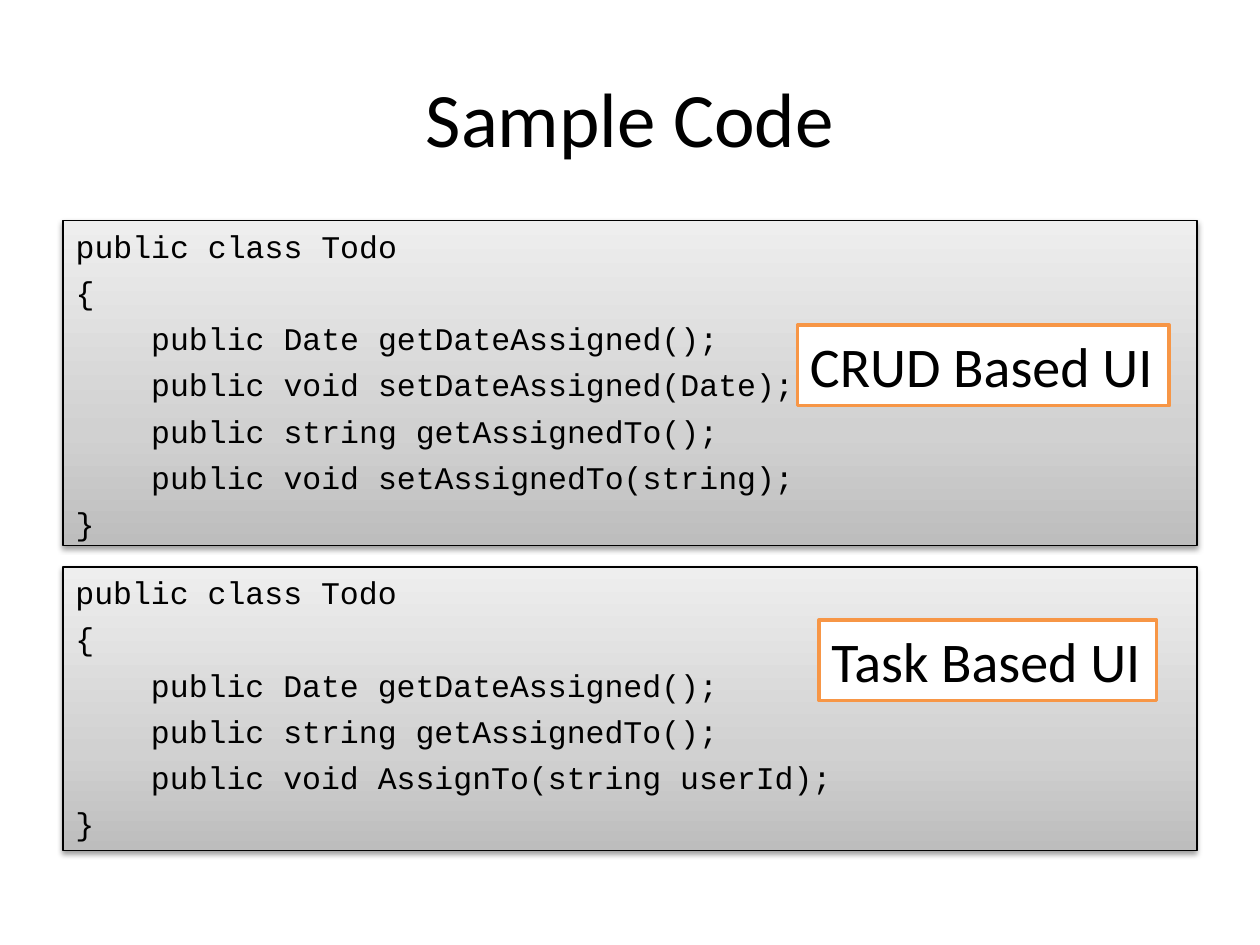
import dataclasses
import lxml.etree
import pptx
import pptx.dml.color
import pptx.enum.shapes
import pptx.enum.text
import pptx.oxml.ns
import pptx.shapes.autoshape
import pptx.util

Inches = pptx.util.Inches
Pt = pptx.util.Pt
Color = pptx.dml.color.RGBColor
Shape = pptx.shapes.autoshape.Shape
qn = pptx.oxml.ns.qn

BLACK = Color(0x00, 0x00, 0x00)
WHITE = Color(0xFF, 0xFF, 0xFF)
ORANGE = Color(0xF7, 0x96, 0x46)
GRAYS = (
    (0, Color(0xBD, 0xBD, 0xBD)),
    (35, Color(0xD1, 0xD1, 0xD1)),
    (100, Color(0xEE, 0xEE, 0xEE)),
)
RECT = pptx.enum.shapes.MSO_SHAPE.RECTANGLE
LEFT = pptx.enum.text.PP_ALIGN.LEFT
TOP = pptx.enum.text.MSO_ANCHOR.TOP
FIXED = pptx.enum.text.MSO_AUTO_SIZE.NONE
GROW = pptx.enum.text.MSO_AUTO_SIZE.SHAPE_TO_FIT_TEXT


@dataclasses.dataclass(frozen=True)
class Box:
    left: float
    top: float
    width: float
    height: float


@dataclasses.dataclass(frozen=True)
class Panel:
    box: Box
    code: tuple[str, ...]


@dataclasses.dataclass(frozen=True)
class Label:
    box: Box
    text: str


def todo(*calls: str) -> tuple[str, ...]:
    return ("public class Todo", "{", *(f"    public {call};" for call in calls), "}")


PANELS = (
    Panel(Box(0.5, 1.75, 9, 2.58), todo(
        "Date getDateAssigned()",
        "void setDateAssigned(Date)",
        "string getAssignedTo()",
        "void setAssignedTo(string)",
    )),
    Panel(Box(0.5, 4.5, 9, 2.25), todo(
        "Date getDateAssigned()",
        "string getAssignedTo()",
        "void AssignTo(string userId)",
    )),
)
LABELS = (
    Label(Box(6.33, 2.58, 2.95, 0.64), "CRUD Based UI"),
    Label(Box(6.5, 4.92, 2.68, 0.64), "Task Based UI"),
)


def place(shape: Shape, box: Box) -> None:
    shape.left, shape.top = Inches(box.left), Inches(box.top)
    shape.width, shape.height = Inches(box.width), Inches(box.height)


def add_rect(slide: pptx.slide.Slide, box: Box) -> Shape:
    sides = map(Inches, dataclasses.astuple(box))
    return slide.shapes.add_shape(RECT, *sides)


def style(para, name: str, size: float) -> None:
    para.font.name = name
    para.font.size = Pt(size)
    para.font.color.rgb = BLACK


def add_node(root, tag: str, **attrs: object):
    pairs = {key: str(value) for key, value in attrs.items()}
    return lxml.etree.SubElement(root, qn(tag), pairs)


def shade(shape: Shape) -> None:
    shape.fill.gradient()
    shape.fill.gradient_angle = 90
    stops = shape.element.spPr.find(".//" + qn("a:gsLst"))
    for stop in list(stops):
        stops.remove(stop)
    for spot, color in GRAYS:
        stop = add_node(stops, "a:gs", pos=spot * 1000)
        add_node(stop, "a:srgbClr", val=color)


def cast(shape: Shape) -> None:
    shape.shadow.inherit = False
    root = shape.element.spPr.find(qn("a:effectLst"))
    glow = add_node(root, "a:outerShdw", blurRad=Pt(3.1), dist=Pt(1.6),
                    dir=5400000, rotWithShape=0)
    tint = add_node(glow, "a:srgbClr", val=BLACK)
    add_node(tint, "a:alpha", val=38000)


def draw_panel(shape: Shape, panel: Panel) -> None:
    place(shape, panel.box)
    shape.line.color.rgb = BLACK
    shape.line.width = Pt(0.75)
    shade(shape)
    cast(shape)
    frame = shape.text_frame
    frame.text = "\n".join(panel.code)
    frame.word_wrap = True
    frame.auto_size = FIXED
    frame.vertical_anchor = TOP
    for index, para in enumerate(frame.paragraphs):
        para.alignment = LEFT
        para.space_before = Pt(4.8 if index else 0)
        props = para._p.get_or_add_pPr()
        props.set("marL", str(Inches(0.38)))
        props.set("indent", str(Inches(-0.38)))
        add_node(props, "a:buNone")
        style(para, "Courier New", 18)


def draw_label(slide: pptx.slide.Slide, label: Label) -> None:
    shape = add_rect(slide, label.box)
    shape.shadow.inherit = False
    shape.fill.solid()
    shape.fill.fore_color.rgb = WHITE
    shape.line.color.rgb = ORANGE
    shape.line.width = Pt(2)
    frame = shape.text_frame
    frame.text = label.text
    frame.word_wrap = False
    frame.auto_size = GROW
    frame.vertical_anchor = TOP
    para = frame.paragraphs[0]
    para.alignment = LEFT
    style(para, "Calibri", 32)


def main() -> None:
    deck = pptx.Presentation()
    deck.slide_width, deck.slide_height = Inches(10), Inches(7.5)
    slide = deck.slides.add_slide(deck.slide_layouts[1])
    title, body = slide.placeholders
    place(title, Box(0.5, 0.3, 9, 1.25))
    title.text_frame.text = "Sample Code"
    style(title.text_frame.paragraphs[0], "Calibri", 44)
    first, second = PANELS
    draw_panel(body, first)
    draw_panel(add_rect(slide, second.box), second)
    for label in LABELS:
        draw_label(slide, label)
    deck.save("out.pptx")


if __name__ == "__main__":
    main()
